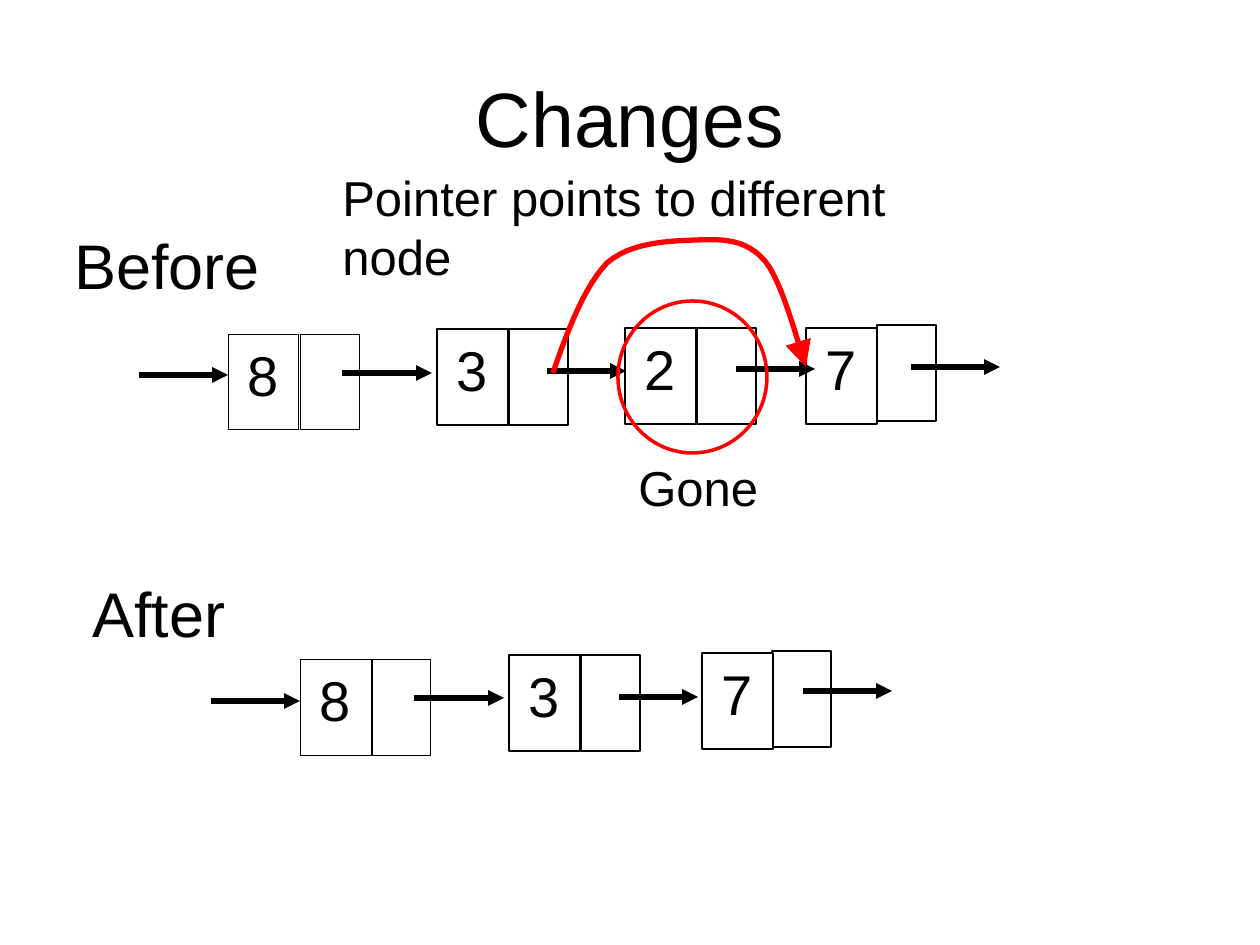
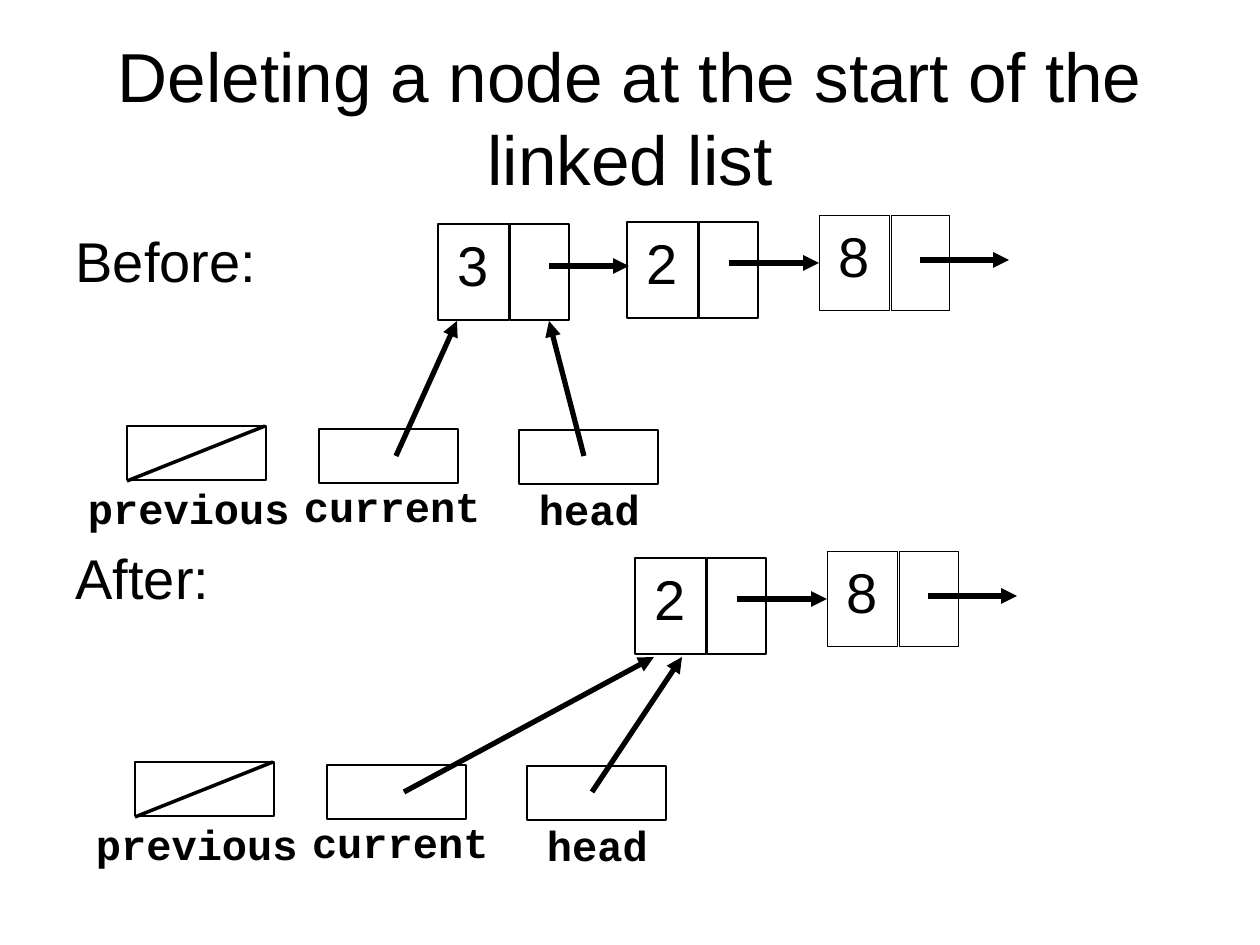
import dataclasses
import pptx
import pptx.dml.color
import pptx.enum.shapes
import pptx.enum.text
import pptx.oxml
import pptx.oxml.ns
import pptx.util
from lxml import etree

EMU_PER_PIXEL = 914400 / 126
SHAPES = pptx.enum.shapes.MSO_SHAPE
ALIGN = pptx.enum.text.PP_ALIGN
ANCHOR = pptx.enum.text.MSO_ANCHOR
AUTO_SIZE = pptx.enum.text.MSO_AUTO_SIZE


@dataclasses.dataclass(frozen=True)
class Theme:
    ink: str = "000000"
    paper: str = "FFFFFF"
    accent: str = "FF0000"
    font: str = "Arial"
    code_font: str = "Courier New"
    title: float = 44
    long_title: float = 39.6
    heading: float = 36
    body: float = 32
    note: float = 28
    code: float = 24
    thin: float = 0.5
    edge: float = 0.75
    outline: float = 2
    arrow: float = 3


THEME = Theme()


@dataclasses.dataclass(frozen=True)
class Node:
    value: str
    x: int
    y: int
    arrow_start: int
    arrow_end: int
    arrow_y: int
    link_dx: int = 72
    link_dy: int = 0
    edge: float = THEME.edge

    def shifted(self, dx, dy):
        return dataclasses.replace(
            self, x=self.x + dx, y=self.y + dy,
            arrow_start=self.arrow_start + dx,
            arrow_end=self.arrow_end + dx, arrow_y=self.arrow_y + dy)


def px(length):
    return pptx.util.Emu(round(length * EMU_PER_PIXEL))


def rgb(colour):
    return pptx.dml.color.RGBColor.from_string(colour)


def place(item, left, top, width, height):
    item.left, item.top = px(left), px(top)
    item.width, item.height = px(width), px(height)


def add_run(paragraph, text, size, font=THEME.font, bold=False):
    run = paragraph.add_run()
    run.text = text
    run.font.size = pptx.util.Pt(size)
    run.font.name = font
    run.font.bold = bold
    run.font.color.rgb = rgb(THEME.ink)


def set_line(line, colour, width):
    line.color.rgb = rgb(colour)
    line.width = pptx.util.Pt(width)


def add_arrowhead(line_owner, size="med"):
    outline = line_owner.line._get_or_add_ln()
    etree.SubElement(outline, pptx.oxml.ns.qn("a:tailEnd"),
                     type="triangle", w=size, len=size)


def add_title(slide, text, size):
    title = slide.shapes.title
    place(title, 63, 38, 1134, 157)
    title.text_frame.auto_size = AUTO_SIZE.NONE
    title.text_frame.vertical_anchor = ANCHOR.MIDDLE
    paragraph = title.text_frame.paragraphs[0]
    paragraph.alignment = ALIGN.CENTER
    add_run(paragraph, text, size)


def add_body(slide, entries):
    body = slide.placeholders[1]
    place(body, 63, 220, 1134, 703)
    frame = body.text_frame
    frame.auto_size = AUTO_SIZE.NONE
    for index, (text, space_before) in enumerate(entries):
        paragraph = frame.add_paragraph() if index else frame.paragraphs[0]
        paragraph.space_before = pptx.util.Pt(space_before)
        properties = paragraph._p.get_or_add_pPr()
        properties.set("marL", "0")
        properties.set("indent", "0")
        etree.SubElement(properties, pptx.oxml.ns.qn("a:buNone"))
        add_run(paragraph, text, THEME.body)


def add_label(slide, text, box, size):
    label = slide.shapes.add_textbox(*map(px, box))
    label.text_frame.word_wrap = True
    label.text_frame.auto_size = AUTO_SIZE.SHAPE_TO_FIT_TEXT
    add_run(label.text_frame.paragraphs[0], text, size)


def add_code_label(slide, text, box):
    label = slide.shapes.add_textbox(*map(px, box))
    frame = label.text_frame
    frame.word_wrap = True
    frame.margin_left = frame.margin_right = 0
    frame.margin_top = frame.margin_bottom = 0
    add_run(frame.paragraphs[0], text, THEME.code, THEME.code_font, True)


def add_box(slide, box, edge=THEME.edge):
    cell = slide.shapes.add_shape(SHAPES.RECTANGLE, *map(px, box))
    cell.shadow.inherit = False
    cell.fill.solid()
    cell.fill.fore_color.rgb = rgb(THEME.paper)
    set_line(cell.line, THEME.ink, edge)
    return cell


def add_stroke(slide, start, end, width):
    stroke = slide.shapes.add_connector(
        pptx.enum.shapes.MSO_CONNECTOR.STRAIGHT, *map(px, (*start, *end)))
    set_line(stroke.line, THEME.ink, width)
    etree.SubElement(stroke._element.spPr, pptx.oxml.ns.qn("a:effectLst"))
    return stroke


def add_arrow(slide, start, end):
    add_arrowhead(add_stroke(slide, start, end, THEME.arrow))


def add_list(slide, nodes):
    for node in nodes:
        add_box(slide, (node.x + node.link_dx, node.y + node.link_dy, 59, 96),
                node.edge)
        data = add_box(slide, (node.x, node.y, 71, 96), node.edge)
        data.text_frame.vertical_anchor = ANCHOR.TOP
        paragraph = data.text_frame.paragraphs[0]
        paragraph.alignment = ALIGN.CENTER
        add_run(paragraph, node.value, THEME.body)
    for node in nodes:
        add_arrow(slide, (node.arrow_start, node.arrow_y),
                  (node.arrow_end, node.arrow_y))


def add_removed_ring(slide, box):
    ring = slide.shapes.add_shape(SHAPES.OVAL, *map(px, box))
    ring.shadow.inherit = False
    ring.fill.background()
    set_line(ring.line, THEME.accent, THEME.outline)


def bezier_points(start, curves, steps=12):
    for first, second, end in curves:
        for step in range(1, steps + 1):
            t = step / steps
            u = 1 - t
            yield tuple(
                px(u**3 * a + 3 * u * u * t * b + 3 * u * t * t * c + t**3 * d)
                for a, b, c, d in zip(start, first, second, end))
        start = end


def add_new_link(slide, start, curves):
    builder = slide.shapes.build_freeform(px(start[0]), px(start[1]))
    builder.add_line_segments(list(bezier_points(start, curves)), close=False)
    link = builder.convert_to_shape()
    link.shadow.inherit = False
    link.fill.background()
    set_line(link.line, THEME.accent, THEME.arrow)
    add_arrowhead(link, "lg")


def add_variables(slide, dx, dy, current_target, head_target):
    variables = (
        ("previous", (127, 426), (88, 483, 216, 48)),
        ("current", (319, 429), (304, 481, 181, 53)),
        ("head", (519, 430), (539, 484, 115, 53)),
    )
    for name, (x, y), (left, top, width, height) in variables:
        add_box(slide, (x + dx, y + dy, 139, 54))
        add_code_label(slide, name, (left + dx, top + dy, width, height))
    add_stroke(slide, (265 + dx, 426 + dy), (127 + dx, 481 + dy),
               THEME.outline)
    add_arrow(slide, (396 + dx, 456 + dy), current_target)
    add_arrow(slide, (584 + dx, 456 + dy), head_target)


def build_changes(deck):
    slide = deck.slides.add_slide(deck.slide_layouts[5])
    add_title(slide, "Changes", THEME.title)
    eight = Node("8", 228, 334, 342, 432, 373, edge=THEME.thin)
    three = Node("3", 437, 329, 547, 626, 371)
    two = Node("2", 625, 328, 736, 815, 369)
    seven = Node("7", 806, 328, 911, 1000, 367, 71, -3)
    last_after = Node("7", 702, 653, 803, 892, 691, 70, -2)

    add_list(slide, [eight, three, two, seven])
    add_arrow(slide, (139, 375), (228, 375))
    add_label(slide, "Before", (62, 220, 213, 89), THEME.heading)

    add_list(slide, [eight.shifted(72, 325), three.shifted(72, 326),
                     last_after])
    add_arrow(slide, (211, 701), (300, 701))
    add_label(slide, "After", (80, 568, 175, 89), THEME.heading)

    add_removed_ring(slide, (618, 301, 149, 152))
    add_label(slide, "Gone", (626, 451, 155, 72), THEME.note)
    add_new_link(slide, (553, 373), (
        ((568, 329), (585, 286), (607, 263)),
        ((631, 242), (670, 241), (697, 240)),
        ((723, 239), (746, 239), (765, 261)),
        ((782, 281), (798, 343), (806, 367)),
    ))
    add_label(slide, "Pointer points to different node",
              (330, 161, 635, 131), THEME.note)


def build_deletion(deck):
    slide = deck.slides.add_slide(deck.slide_layouts[1])
    add_title(slide, "Deleting a node at the start of the linked list",
              THEME.long_title)
    add_body(slide, (("Before:", 6.4), ("After:", 143)))
    three = Node("3", 438, 224, 549, 629, 266)
    two = Node("2", 627, 222, 729, 819, 263)
    eight = Node("8", 819, 215, 920, 1009, 260, edge=THEME.thin)
    dx, dy = 8, 336

    add_list(slide, [three, two, eight])
    add_variables(slide, 0, 0, (457, 321), (549, 321))
    add_list(slide, [two.shifted(dx, dy), eight.shifted(dx, dy)])
    add_variables(slide, dx, dy, (654, 657), (682, 657))


def main():
    deck = pptx.Presentation()
    deck.slide_width, deck.slide_height = px(1260), px(945)
    build_changes(deck)
    build_deletion(deck)
    deck.save("out.pptx")


main()
